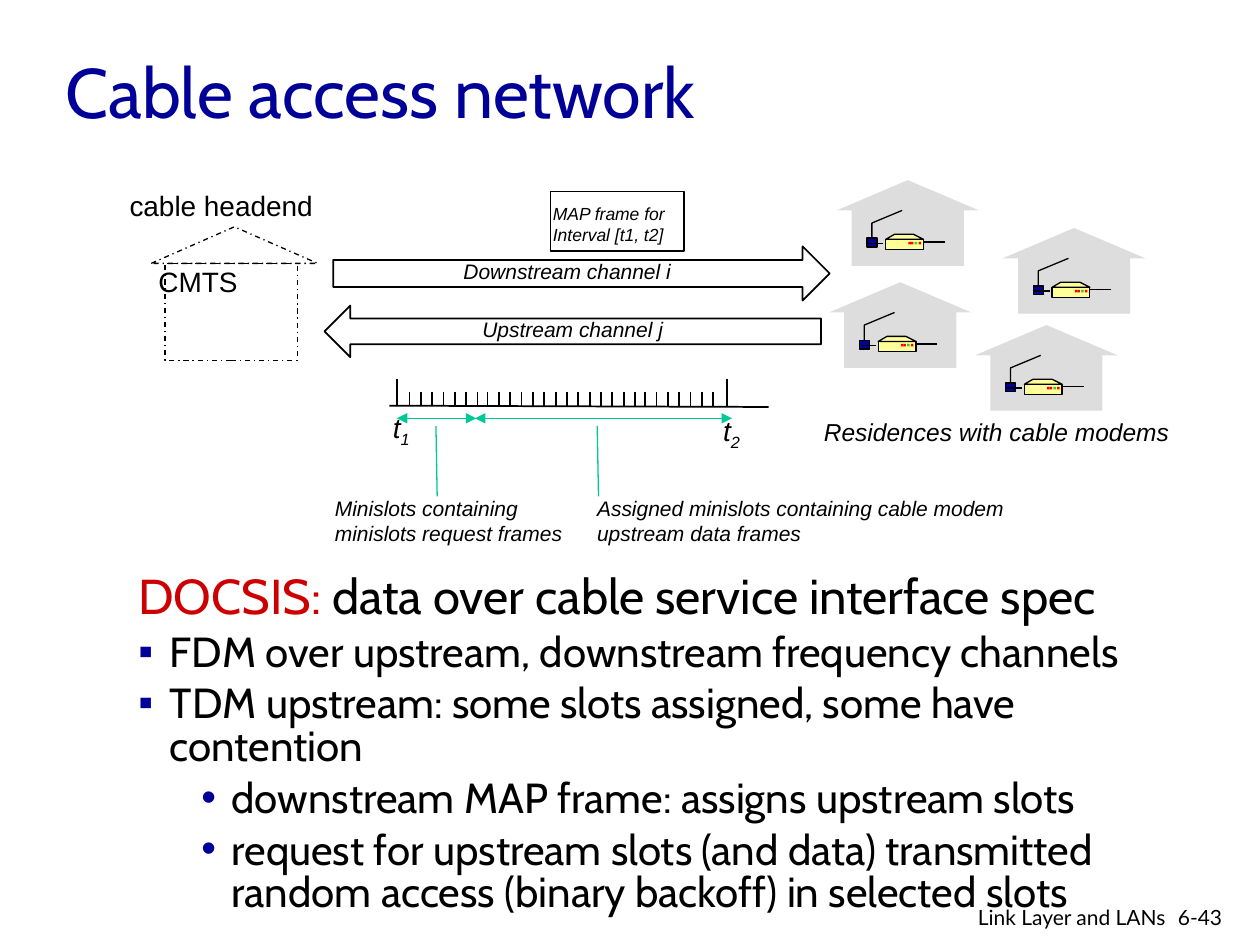
from dataclasses import dataclass

import lxml.etree
import pptx
import pptx.dml.color
import pptx.enum.dml
import pptx.enum.shapes
import pptx.enum.text
import pptx.oxml.ns
import pptx.util

PX = 9144  # EMU per px, 100 px to the inch
SHAPE = pptx.enum.shapes.MSO_SHAPE
ALIGN = pptx.enum.text.PP_ALIGN
qn = pptx.oxml.ns.qn


@dataclass(frozen=True)
class Theme:
    black: str = "000000"
    navy: str = "000099"
    red: str = "CC0000"
    teal: str = "00C896"
    house: str = "DDDDDD"
    modem: str = "FFFF99"
    led_red: str = "FF0000"
    led_green: str = "33CC33"
    diagram_font: str = "Arial"
    body_font: str = "Cabin"
    footer_font: str = "Lato"
    title_pt: int = 40
    lead_pt: int = 28
    body_pt: int = 24
    large_pt: int = 16
    medium_pt: int = 14
    small_pt: int = 12
    tiny_pt: int = 10
    thin: float = 0.75
    normal: float = 1


T = Theme()


@dataclass(frozen=True)
class Run:
    text: str
    size: int
    font: str = T.diagram_font
    color: str = T.black
    italic: bool = False
    subscript: bool = False


@dataclass(frozen=True)
class Para:
    runs: tuple[Run, ...]
    align: ALIGN = ALIGN.LEFT
    spacing: float | pptx.util.Length | None = None
    before: int = 0
    bullet: str = ""
    level: int = 0
    margin: int = 0
    hanging: int = 0


@dataclass(frozen=True)
class Label:
    box: tuple[int, int, int, int]
    paras: tuple[Para, ...]
    wrap: bool = True


def rgb(color: str) -> pptx.dml.color.RGBColor:
    return pptx.dml.color.RGBColor.from_string(color)


def px(*lengths: float) -> list[pptx.util.Emu]:
    return [pptx.util.Emu(round(n * PX)) for n in lengths]


def write_para(p, para: Para) -> None:
    p.alignment, p.level = para.align, para.level
    if para.hanging:
        pPr = p._p.get_or_add_pPr()
        pPr.set("marL", str(para.margin * PX))
        pPr.set("indent", str(-para.hanging * PX))
        if para.bullet:
            clr = lxml.etree.SubElement(pPr, qn("a:buClr"))
            lxml.etree.SubElement(clr, qn("a:srgbClr"), val=T.navy)
            lxml.etree.SubElement(pPr, qn("a:buFont"), typeface=T.diagram_font)
            lxml.etree.SubElement(pPr, qn("a:buChar"), char=para.bullet)
        else:
            lxml.etree.SubElement(pPr, qn("a:buNone"))
    if para.spacing:
        p.line_spacing = para.spacing
    if para.before:
        p.space_before = pptx.util.Pt(para.before)
    for run in para.runs:
        r = p.add_run()
        r.text = run.text
        r.font.name, r.font.size = run.font, pptx.util.Pt(run.size)
        r.font.italic = run.italic
        r.font.color.rgb = rgb(run.color)
        if run.subscript:
            r._r.get_or_add_rPr().set("baseline", "-25000")


def add_label(s, label: Label) -> None:
    tf = s.shapes.add_textbox(*px(*label.box)).text_frame
    tf.word_wrap = label.wrap
    for i, para in enumerate(label.paras):
        write_para(tf.add_paragraph() if i else tf.paragraphs[0], para)


def style(sp, fill: str = "", width: float = 0) -> None:
    """Set fill and black outline; an empty fill or zero width means none."""
    sp.shadow.inherit = False
    if fill:
        sp.fill.solid()
        sp.fill.fore_color.rgb = rgb(fill)
    else:
        sp.fill.background()
    if width:
        sp.line.color.rgb = rgb(T.black)
        sp.line.width = pptx.util.Pt(width)
    else:
        sp.line.fill.background()


def add_box(s, kind: SHAPE, box: tuple[int, ...], fill: str = "", width: float = 0,
            rotation: int = 0, dashed: bool = False) -> None:
    sp = s.shapes.add_shape(kind, *px(*box))
    style(sp, fill, width)
    sp.rotation = rotation
    if dashed:
        sp.line.dash_style = pptx.enum.dml.MSO_LINE.DASH_DOT


def add_line(s, x1: int, y1: int, x2: int, y2: int, color: str = T.black,
             width: float = T.normal, arrows: bool = False) -> None:
    cn = s.shapes.add_connector(pptx.enum.shapes.MSO_CONNECTOR.STRAIGHT, *px(x1, y1, x2, y2))
    cn.line.color.rgb = rgb(color)
    cn.line.width = pptx.util.Pt(width)
    spPr = cn.element.spPr
    if arrows:
        for end in ("a:headEnd", "a:tailEnd"):
            lxml.etree.SubElement(spPr.find(qn("a:ln")), qn(end), type="triangle")
    lxml.etree.SubElement(spPr, qn("a:effectLst"))


def add_outline(s, points: list[tuple[int, int]], closed: bool, fill: str = "") -> None:
    fb = s.shapes.build_freeform(*points[0], scale=PX)
    fb.add_line_segments(points[1:], close=closed)
    style(fb.convert_to_shape(), fill, T.thin)


def add_residence(s, x: int, y: int) -> None:
    """Draw a house with its cable modem; x, y is the corner of the roof."""
    add_box(s, SHAPE.ISOSCELES_TRIANGLE, (x, y, 113, 24), T.house)
    add_box(s, SHAPE.RECTANGLE, (x + 12, y + 21, 89, 47), T.house)
    add_line(s, x + 86, y + 49, x + 68, y + 49, width=T.thin)
    add_box(s, SHAPE.RECTANGLE, (x + 39, y + 47, 30, 8), T.modem, T.thin)
    for dx, color in ((65, T.led_red), (62, T.led_green), (59, T.led_red), (57, T.led_red)):
        add_box(s, SHAPE.RECTANGLE, (x + dx, y + 49, 2, 2), color)
    lid = ((69, 47), (61, 43), (46, 43), (39, 47))
    add_outline(s, [(x + dx, y + dy) for dx, dy in lid], True, T.modem)
    add_box(s, SHAPE.RECTANGLE, (x + 24, y + 46, 8, 7), T.navy, T.thin)
    antenna = ((28, 46), (28, 34), (52, 24))
    add_outline(s, [(x + dx, y + dy) for dx, dy in antenna], False)
    add_line(s, x + 25, y + 50, x + 37, y + 50, width=T.thin)


def note(box: tuple[int, int, int, int], size: int, *lines: str, spacing=None) -> Label:
    """Make an unwrapped italic label of the diagram."""
    return Label(box, tuple(Para((Run(t, size, italic=True),), spacing=spacing) for t in lines), False)


def time_mark(x: int, y: int, index: str) -> Label:
    runs = (Run("t", T.large_pt, italic=True), Run(index, T.large_pt, italic=True, subscript=True))
    return Label((x, y, 39, 37), (Para(runs),), False)


def item(text: str, level: int = 0) -> Para:
    bullet, margin, hanging = (("▪", 25, 25), ("•", 74, 24))[level]
    return Para((Run(text, T.body_pt, T.body_font),), spacing=0.85, before=5,
                bullet=bullet, level=level, margin=margin, hanging=hanging)


LABELS = (
    note((429, 156, 113, 44), T.tiny_pt, "MAP frame for", "Interval [t1, t2]", spacing=pptx.util.Pt(12)),
    note((644, 326, 301, 34), T.medium_pt, "Residences with cable modems"),
    note((358, 200, 191, 30), T.small_pt, "Downstream channel i"),
    note((373, 246, 169, 30), T.small_pt, "Upstream channel j"),
    note((464, 388, 351, 50), T.small_pt, "Assigned minislots containing cable modem", "upstream data frames"),
    note((256, 388, 207, 50), T.small_pt, "Minislots containing", "minislots request frames"),
    time_mark(302, 321, "1"),
    time_mark(564, 323, "2"),
    Label((70, 150, 211, 31), (Para((Run("cable headend", T.large_pt),), ALIGN.CENTER, 0.8),)),
    Label((116, 205, 104, 37), (Para((Run("CMTS", T.large_pt),)),)),
    Label((100, 451, 857, 250), (
        Para((Run("DOCSIS: ", T.lead_pt, T.body_font, T.red),
              Run("data over cable service interface spec", T.lead_pt, T.body_font)),
             spacing=0.85, margin=38, hanging=38),
        item("FDM over upstream, downstream frequency channels"),
        item("TDM upstream: some slots assigned, some have contention"),
        item("downstream MAP frame: assigns upstream slots", 1),
        item("request for upstream slots (and data) transmitted "
             "random access (binary backoff) in selected slots", 1))),
    Label((925, 713, 60, 30), (Para((Run("6-43", T.small_pt, T.footer_font),)),)),
    Label((697, 713, 238, 26), (Para((Run("Link Layer and LANs", T.small_pt, T.footer_font),), ALIGN.RIGHT),)),
)


def add_title(s) -> None:
    sp = s.shapes.title
    sp.left, sp.top, sp.width, sp.height = px(42, 26, 615, 91)
    tf = sp.text_frame
    tf.auto_size = pptx.enum.text.MSO_AUTO_SIZE.NONE
    tf.vertical_anchor = pptx.enum.text.MSO_ANCHOR.MIDDLE
    write_para(tf.paragraphs[0], Para((Run("Cable access network", T.title_pt, T.body_font, T.navy),)))


def add_minislots(s) -> None:
    add_line(s, 309, 322, 610, 323)
    for x in (315, 577):
        add_line(s, x, 301, x, 322)
    first, last, count = 325, 566, 28
    for i in range(count):
        x = round(first + i * (last - first) / (count - 1))
        add_line(s, x, 311, x, 322)
    for x1, x2 in ((315, 378), (377, 581)):
        add_line(s, x1, 332, x2, 332, T.teal, T.thin, arrows=True)
    for x in (346, 474):
        add_line(s, x, 338, x + 1, 394, T.teal, T.thin)


def main() -> None:
    prs = pptx.Presentation()
    prs.slide_width, prs.slide_height = px(1000, 750)
    s = prs.slides.add_slide(prs.slide_layouts[5])
    add_title(s)
    add_box(s, SHAPE.RECTANGLE, (437, 152, 106, 47), width=T.normal)
    add_box(s, SHAPE.DOWN_ARROW, (440, 20, 43, 394), width=T.normal, rotation=270)
    add_box(s, SHAPE.DOWN_ARROW, (434, 66, 41, 394), width=T.normal, rotation=90)
    add_minislots(s)
    add_box(s, SHAPE.RECTANGLE, (131, 209, 105, 77), width=T.thin, dashed=True)
    add_box(s, SHAPE.ISOSCELES_TRIANGLE, (120, 180, 132, 29), width=T.thin, dashed=True)
    for x, y in ((664, 143), (796, 181), (774, 258), (658, 224)):
        add_residence(s, x, y)
    for label in LABELS:
        add_label(s, label)
    prs.save("out.pptx")


if __name__ == "__main__":
    main()
